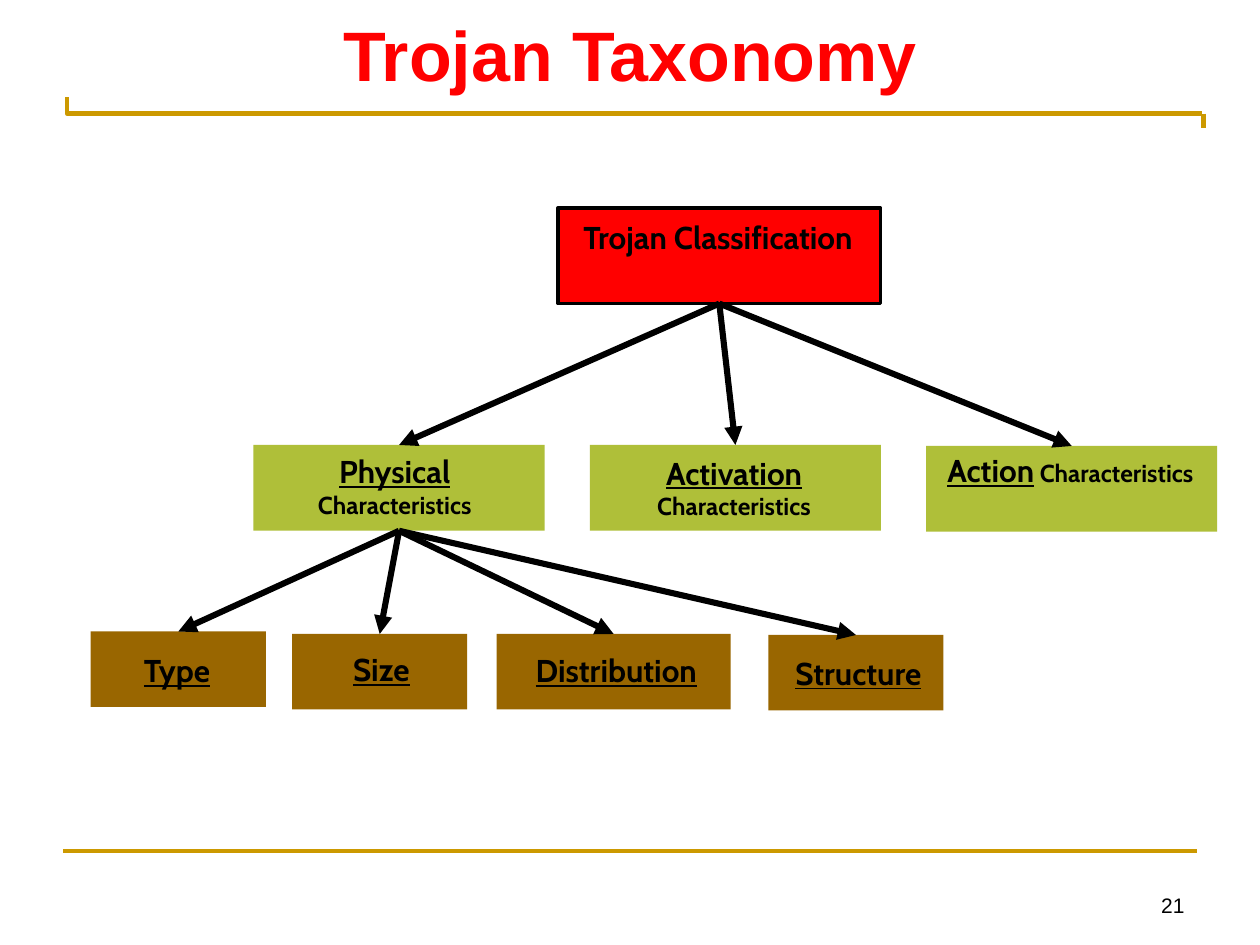
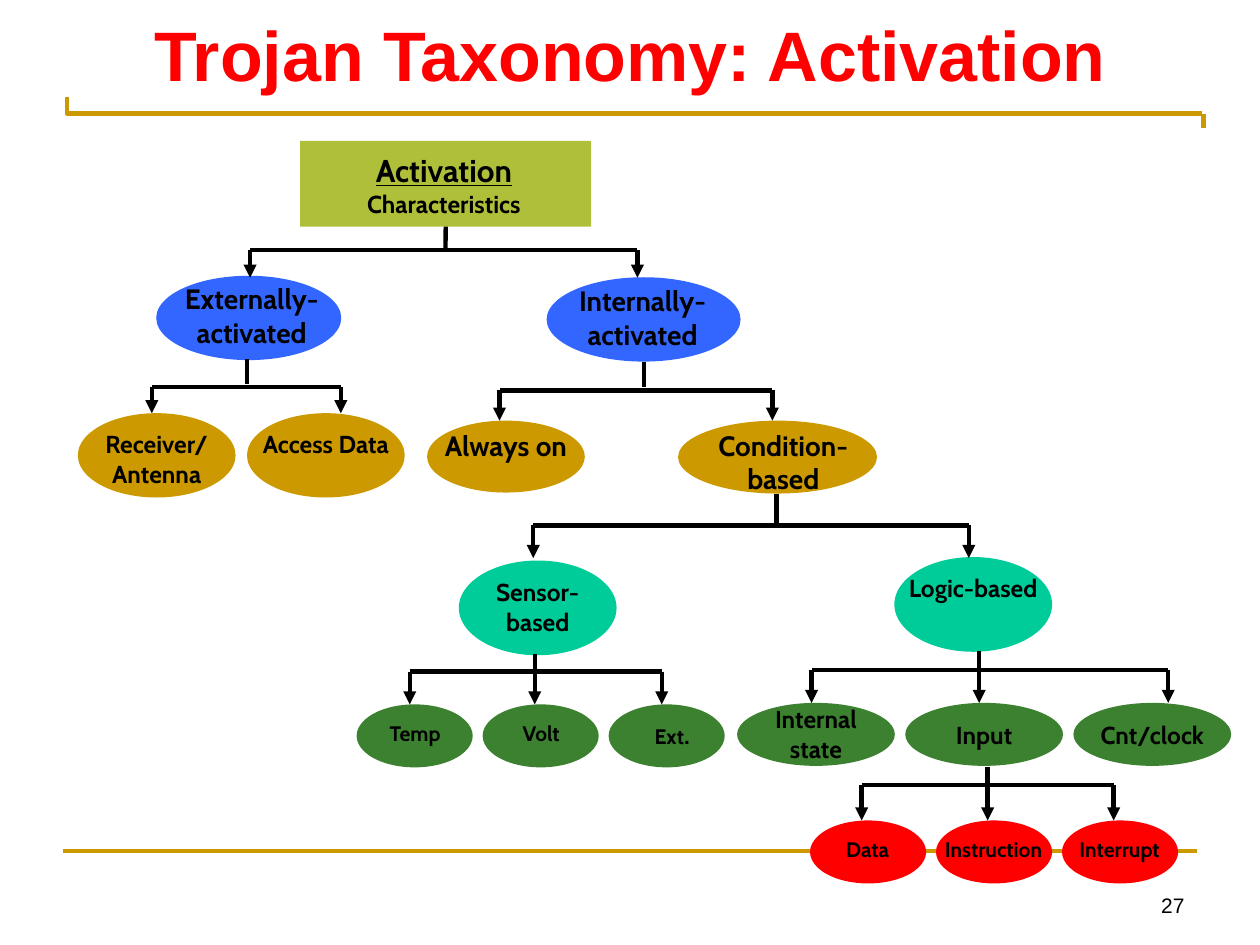
from pptx import Presentation
from pptx.dml.color import RGBColor
from pptx.enum.shapes import MSO_CONNECTOR, MSO_SHAPE
from pptx.enum.text import MSO_ANCHOR, MSO_AUTO_SIZE, PP_ALIGN
from pptx.oxml import parse_xml
from pptx.oxml.ns import nsdecls
from pptx.util import Cm, Pt

# Shared look
hue = RGBColor.from_string
BLACK, RED, GOLD = "000000", "FF0000", "CC9900"
LIME, BROWN, BLUE, TEAL, GREEN = "AFBF39", "996600", "3366FF", "00CC99", "3B812F"
RECT, OVAL = MSO_SHAPE.RECTANGLE, MSO_SHAPE.OVAL
LABEL = {"name": "Cabin", "bold": True}
TITLE = {"name": "Arial", "bold": True, "size": Pt(40)}
NUMBER = {"name": "Arial", "size": Pt(12)}


def link(slide, ends, color, width, arrow=False):
    line = slide.shapes.add_connector(MSO_CONNECTOR.STRAIGHT, *map(Cm, ends))
    line.line.color.rgb = hue(color)
    line.line.width = Pt(width)
    if arrow:
        line.line._get_or_add_ln().append(
            parse_xml(f'<a:tailEnd {nsdecls("a")} type="triangle"/>'))
    line._element.spPr.append(parse_xml(f'<a:effectLst {nsdecls("a")}/>'))
    return line


def write(frame, runs, align, color=BLACK):
    frame.word_wrap = True
    para = frame.paragraphs[0]
    para.alignment = align
    for text, look in runs:
        run = para.add_run()
        run.text = text
        run.font.color.rgb = hue(color)
        for key, value in look.items():
            setattr(run.font, key, value)


# Rows of nodes: shape, fill, width, height, font size, underline,
# label width, label height, then (label, x, y, label x, label y).
# Text after a bar is set at 14 points without underline.
tree = [
    (RECT, RED, 6.5, 1.93, 18, False, 6.55, 1.78,
     [("Trojan Classification", 11.25, 4.19, 11.2, 4.27)]),
    (RECT, LIME, 5.87, 1.73, 18, True, 5.92, 1.6,
     [("Physical| Characteristics", 5.11, 8.97, 5, 8.99),
      ("Activation| Characteristics", 11.89, 8.97, 11.84, 9.02),
      ("Action| Characteristics", 18.67, 8.99, 18.62, 8.97)]),
    (RECT, BROWN, 3.53, 1.52, 18, True, 3.18, 1.02,
     [("Type", 1.83, 12.73, 1.98, 13),
      ("Size", 5.89, 12.78, 6.1, 12.98)]),
    (RECT, BROWN, 4.72, 1.52, 18, True, 4.37, 1.02,
     [("Distribution", 10.01, 12.78, 10.24, 13)]),
    (RECT, BROWN, 3.53, 1.52, 18, True, 3.63, 1.02,
     [("Structure", 15.49, 12.8, 15.49, 13.06)]),
]
STEP = 2.54
modes = [
    (RECT, LIME, 5.87, 1.73, 18, True, 5.92, 1.6,
     [("Activation| Characteristics", 6.05, 2.84, 5.99, 2.92)]),
    (OVAL, BLUE, 3.73, 1.7, 16, False, 4.01, 1.63,
     [("Externally-activated", 3.15, 5.56, 3.07, 5.56)]),
    (OVAL, BLUE, 3.91, 1.7, 16, False, 4.01, 1.63,
     [("Internally-activated", 11.02, 5.59, 10.95, 5.59)]),
    (OVAL, GOLD, 3.18, 1.7, 14, False, 3.18, 1.45,
     [("Receiver/ Antenna", 1.57, 8.33, 1.57, 8.53),
      ("Access Data", 4.98, 8.33, 4.98, 8.53)]),
    (OVAL, GOLD, 3.18, 1.45, 16, False, 3.18, 1.63,
     [("Always on", 8.61, 8.48, 8.61, 8.51)]),
    (OVAL, GOLD, 4.01, 1.47, 16, False, 4.24, 1.63,
     [("Condition-based", 13.67, 8.48, 13.67, 8.51)]),
    (OVAL, TEAL, 3.18, 1.91, 14, False, 3.18, 1.45,
     [("Sensor-based", 9.25, 11.3, 9.25, 11.51),
      ("Logic-based", 18.03, 11.23, 18.03, 11.43)]),
    (OVAL, GREEN, 3.18, 1.27, 14, False, 3.18, 0.84,
     [("Internal state", 14.86, 14.17, 14.86, 14.07),
      ("Input", 18.25, 14.17, 18.25, 14.4),
      ("Cnt/clock", 21.64, 14.17, 21.64, 14.4)]),
    (OVAL, GREEN, 2.34, 1.27, 12, False, 3.18, 0.76,
     [("Temp", 7.19, 14.2, 6.78, 14.4),
      ("Volt", 7.19 + STEP, 14.2, 6.78 + STEP, 14.4),
      ("Ext|.", 7.19 + 2 * STEP, 14.2, 6.88 + 2 * STEP, 14.4)]),
    (OVAL, RED, 2.34, 1.27, 12, False, 3.18, 0.76,
     [(name, 16.33 + k * STEP, 16.54, 15.9 + k * STEP, 16.74)
      for k, name in enumerate(["Data", "Instruction", "Interrupt"])]),
]

deck = Presentation()
deck.slide_width, deck.slide_height = Cm(25.4), Cm(19.05)
pages = []
for title, number, rows in [("Trojan Taxonomy", "21", tree),
                            ("Trojan Taxonomy: Activation", "27", modes)]:
    slide = deck.slides.add_slide(deck.slide_layouts[5])

    # Title
    head = slide.shapes.title
    head.left, head.top, head.width, head.height = map(Cm, (0, 0, 25.4, 2.34))
    frame = head.text_frame
    frame.auto_size = MSO_AUTO_SIZE.NONE
    frame.vertical_anchor = MSO_ANCHOR.MIDDLE
    frame.margin_bottom = Cm(0.3)
    write(frame, [(title, TITLE)], PP_ALIGN.CENTER, RED)

    # Gold rules
    pen = slide.shapes.build_freeform(Cm(1.35), Cm(1.96))
    pen.add_line_segments([(Cm(1.35), Cm(2.29)), (Cm(24.23), Cm(2.29))], close=False)
    edge = pen.convert_to_shape()
    edge.shadow.inherit = False
    edge.fill.background()
    edge.line.color.rgb = hue(GOLD)
    edge.line.width = Pt(2.5)
    link(slide, (1.27, 17.15, 24.13, 17.15), GOLD, 2.5)
    link(slide, (24.26, 2.29, 24.26, 2.59), GOLD, 2.5)

    # Page number
    foot = slide.shapes.add_textbox(*map(Cm, (18.21, 17.35, 5.92, 1.27)))
    foot.text_frame.vertical_anchor = MSO_ANCHOR.BOTTOM
    write(foot.text_frame, [(number, NUMBER)], PP_ALIGN.RIGHT)

    # Nodes and their labels
    nodes = {}
    for kind, fill, wide, high, size, under, span, rise, items in rows:
        for label, x, y, left, top in items:
            name, _, tail = label.partition("|")
            node = slide.shapes.add_shape(kind, *map(Cm, (x, y, wide, high)))
            node.shadow.inherit = False
            node.fill.solid()
            node.fill.fore_color.rgb = hue(fill)
            node.line.fill.background()
            nodes[name] = node
            box = slide.shapes.add_textbox(*map(Cm, (left, top, span, rise)))
            box.text_frame.auto_size = MSO_AUTO_SIZE.SHAPE_TO_FIT_TEXT
            runs = [(name, LABEL | {"size": Pt(size), "underline": under})]
            if tail:
                runs.append((tail, LABEL | {"size": Pt(14), "underline": False}))
            write(box.text_frame, runs, PP_ALIGN.CENTER)
    pages.append((slide, nodes))

# Taxonomy: arrows from parent to child
slide, nodes = pages[0]
root = nodes["Trojan Classification"]
root.line.color.rgb = hue(BLACK)
root.line.width = Pt(2)
for parent, kids in [
    ("Trojan Classification", ["Physical", "Activation", "Action"]),
    ("Physical", ["Type", "Size", "Distribution", "Structure"]),
]:
    for kid in kids:
        line = link(slide, (0, 0, 1, 1), BLACK, 3.5, arrow=True)
        line.begin_connect(nodes[parent], 2)
        line.end_connect(nodes[kid], 0)

# Activation: stem x, stem top, stem end, bar y, bar left, bar right, tip y
slide, nodes = pages[1]
for stem, top, end, bar, left, right, tip in [
    (8.98, 4.57, 5.05, 5.04, 5.04, 12.85, 5.6),
    (4.98, 7.24, 7.75, 7.8, 3.06, 6.87, 8.33),
    (12.98, 7.29, 7.8, 7.87, 10.07, 15.57, 8.48),
    (15.65, 9.96, 10.59, 10.59, 10.75, 19.53, 11.25),
    (10.78, 13.18, 14.2, 13.54, 8.26, 13.34, 14.2),
    (19.74, 13.13, 14.17, 13.51, 16.36, 23.55, 14.17),
    (19.91, 15.47, 16.54, 15.82, 17.37, 22.45, 16.54),
]:
    trunk = link(slide, (stem, top, stem, end), BLACK, 2.5, arrow=end == tip)
    if top == 4.57:
        trunk.begin_connect(nodes["Activation"], 2)
    link(slide, (left, bar, right, bar), BLACK, 2.5)
    for x in (left, right):
        link(slide, (x, bar, x, tip), BLACK, 2.5, arrow=True)

deck.save("out.pptx")
